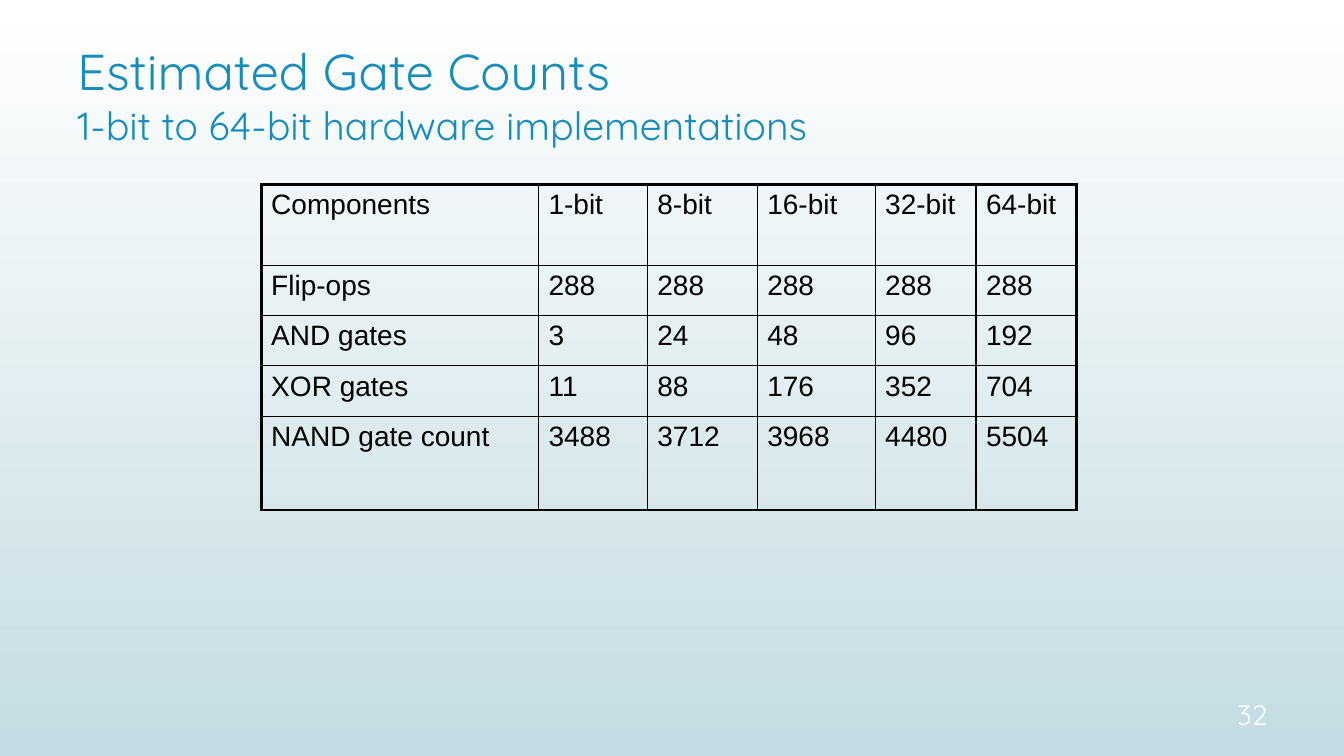
"""Build the slide of estimated gate counts for 1-bit to 64-bit hardware."""
from lxml import etree
from pptx import Presentation
from pptx.dml.color import RGBColor
from pptx.enum import text
from pptx.oxml import ns
from pptx.util import Inches, Pt

COLORS = {"top": "FFFFFF", "bottom": "C4DCE3", "title": "168DBA", "number": "FEFFFF", "ink": "000000"}
TITLE = [("Estimated Gate Counts", 36), ("1-bit to 64-bit hardware implementations", 28)]
PAGE_NUMBER = [("32", 20)]
GATE_COUNTS = [
    ("Components", "1-bit", "8-bit", "16-bit", "32-bit", "64-bit"),
    ("Flip-ops", "288", "288", "288", "288", "288"),
    ("AND gates", "3", "24", "48", "96", "192"),
    ("XOR gates", "11", "88", "176", "352", "704"),
    ("NAND gate count", "3488", "3712", "3968", "4480", "5504"),
]
COLUMN_WIDTHS = [2.75, 1.08, 1.09, 1.17, 1, 1]
ROW_HEIGHTS = [0.8, 0.5, 0.5, 0.5, 0.93]
TABLE_LEFT, TABLE_TOP = 2.59, 1.83
INNER_LINE, OUTER_LINE = 1, 2.25


def rgb(name):
    return RGBColor.from_string(COLORS[name])


def style(paragraph, font, size, color):
    paragraph.font.name = font
    paragraph.font.size = Pt(size)
    paragraph.font.color.rgb = rgb(color)


def add_text(slide, box, lines, color, alignment, anchor, margin):
    frame = slide.shapes.add_textbox(*map(Inches, box)).text_frame
    frame.word_wrap = True
    frame.vertical_anchor = anchor
    frame.margin_top = frame.margin_bottom = Inches(margin)
    frame.text = "\n".join(line for line, size in lines)
    for paragraph, (line, size) in zip(frame.paragraphs, lines):
        paragraph.alignment = alignment
        style(paragraph, "Quicksand", size, color)


def set_borders(cell, outer_edges):
    properties = cell._tc.get_or_add_tcPr()
    for index, (edge, is_outer) in enumerate(outer_edges.items()):
        line = etree.Element(ns.qn(f"a:ln{edge}"), w=str(Pt(OUTER_LINE if is_outer else INNER_LINE)))
        fill = etree.SubElement(line, ns.qn("a:solidFill"))
        etree.SubElement(fill, ns.qn("a:srgbClr"), val=COLORS["ink"])
        properties.insert(index, line)


def add_gate_table(slide):
    last_row, last_column = len(ROW_HEIGHTS) - 1, len(COLUMN_WIDTHS) - 1
    box = (TABLE_LEFT, TABLE_TOP, sum(COLUMN_WIDTHS), sum(ROW_HEIGHTS))
    table = slide.shapes.add_table(last_row + 1, last_column + 1, *map(Inches, box)).table
    table.first_row = table.horz_banding = False
    for column, width in zip(table.columns, COLUMN_WIDTHS):
        column.width = Inches(width)
    for row, height in zip(table.rows, ROW_HEIGHTS):
        row.height = Inches(height)
    for r, values in enumerate(GATE_COUNTS):
        for c, value in enumerate(values):
            cell = table.cell(r, c)
            cell.text = value
            cell.fill.background()
            style(cell.text_frame.paragraphs[0], "Arial", 20, "ink")
            set_borders(cell, {"L": c == 0, "R": c == last_column, "T": r == 0, "B": r == last_row})


def main():
    presentation = Presentation()
    presentation.slide_width, presentation.slide_height = Inches(13.33), Inches(7.5)
    slide = presentation.slides.add_slide(presentation.slide_layouts[6])
    background = slide.background.fill
    background.gradient()
    background.gradient_angle = 270
    for stop, name in zip(background.gradient_stops, ("top", "bottom")):
        stop.color.rgb = rgb(name)
    add_text(slide, (9.56, 6.83, 3.11, 0.52), PAGE_NUMBER, "number",
             text.PP_ALIGN.RIGHT, text.MSO_ANCHOR.MIDDLE, 0.05)
    add_text(slide, (0.67, 0.3, 12, 1.25), TITLE, "title",
             text.PP_ALIGN.LEFT, text.MSO_ANCHOR.TOP, 0.1)
    add_gate_table(slide)
    presentation.save("out.pptx")


if __name__ == "__main__":
    main()
